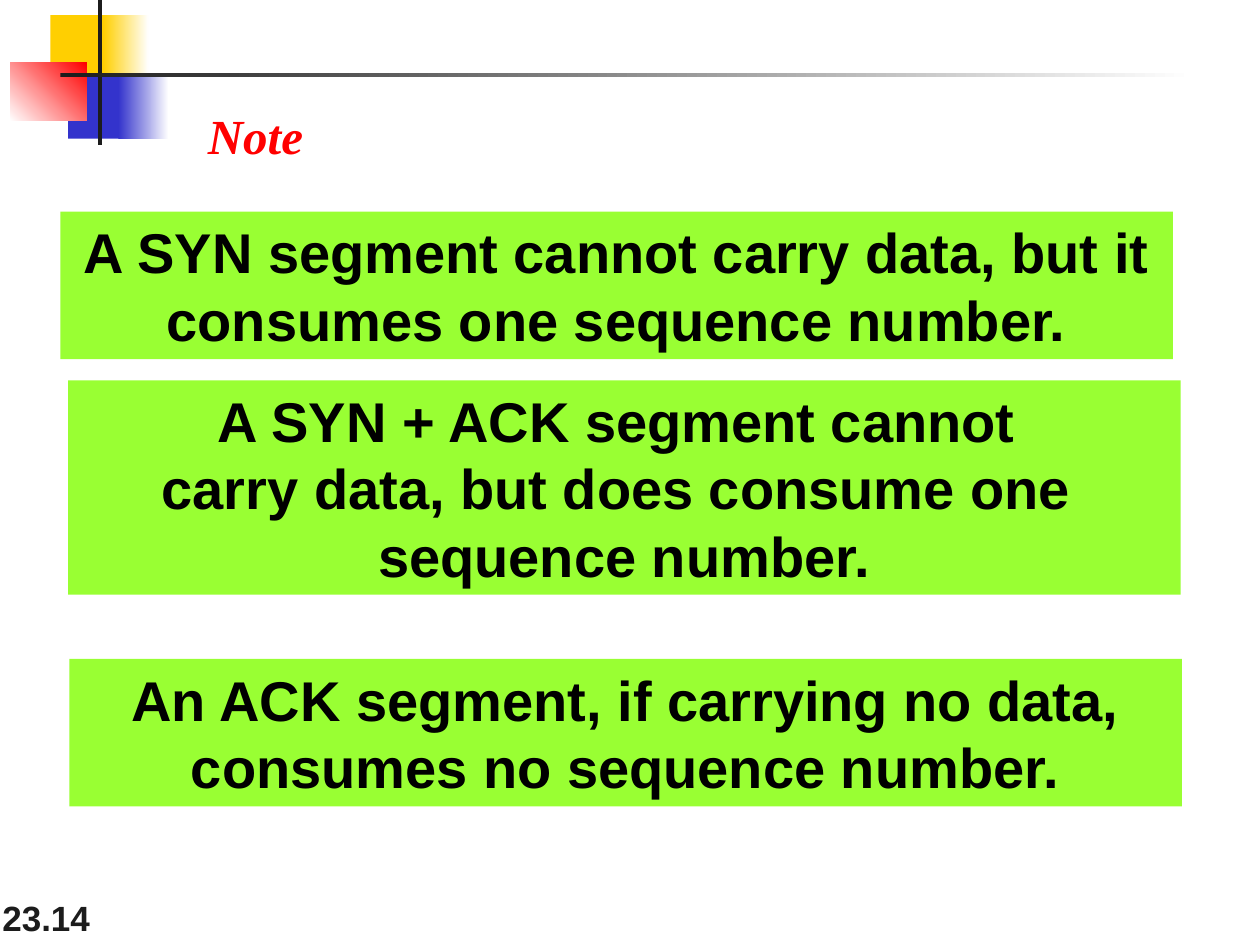
from pptx import Presentation
from pptx.dml.color import RGBColor
from pptx.enum.shapes import MSO_SHAPE as Shape
from pptx.enum.text import MSO_ANCHOR as Anchor, MSO_AUTO_SIZE as AutoSize, PP_ALIGN as Align
from pptx.util import Inches, Pt

YELLOW, BLUE, RED = "FFCF01", "3333CC", "FF0000"
GREEN, DARK, BLACK, WHITE = "99FF33", "1C1C1C", "000000", "FFFFFF"
NOTE_WIDTH = 8.83

# Left, top, width, height, colours (two make a gradient), gradient angle
ORNAMENT = [
    (0.4, 0.12, 0.48, 0.52, [YELLOW], 0),
    (0.82, 0.12, 0.36, 0.52, [YELLOW, WHITE], 0),
    (0.54, 0.58, 0.46, 0.52, [BLUE], 0),
    (0.94, 0.58, 0.4, 0.52, [BLUE, WHITE], 0),
    (0.08, 0.5, 0.61, 0.46, [WHITE, RED], 45),
    (0.78, 0, 0.03, 1.15, [DARK], 0),
    (0.48, 0.58, 9, 0.03, [DARK, WHITE], 0),
]

# Left, top, height, lines
NOTES = [
    (0.48, 1.68, 1.17,
     ["A SYN segment cannot carry data, but it consumes one sequence number."]),
    (0.54, 3.02, 1.7,
     ["A SYN + ACK segment cannot ", "carry data, but does consume one ",
      "sequence number."]),
    (0.55, 5.23, 1.17,
     ["An ACK segment, if carrying no data, consumes no sequence number."]),
]


def colour(code):
    return RGBColor.from_string(code)


def add_block(page, left, top, width, height, colours, angle=0):
    """Add a borderless rectangle with a plain or two-colour fill."""
    block = page.shapes.add_shape(
        Shape.RECTANGLE, *map(Inches, (left, top, width, height)))
    block.shadow.inherit = False
    block.line.fill.background()
    if len(colours) == 1:
        block.fill.solid()
        block.fill.fore_color.rgb = colour(colours[0])
    else:
        block.fill.gradient()
        block.fill.gradient_angle = angle
        for stop, code, position in zip(block.fill.gradient_stops, colours, (0, 1)):
            stop.color.rgb = colour(code)
            stop.position = position
    return block


def write(box, lines, size, code, font="Arial", italic=False,
          align=Align.LEFT, anchor=Anchor.TOP):
    """Fill a box with one bold paragraph, broken into the given lines."""
    frame = box.text_frame
    frame.word_wrap = True
    frame.auto_size = AutoSize.NONE
    frame.vertical_anchor = anchor
    para = frame.paragraphs[0]
    para.alignment = align
    para.line_spacing = 1.0
    para.space_before = Pt(0)
    for index, line in enumerate(lines):
        if index:
            para.add_line_break()
        span = para.add_run()
        span.text = line
        span.font.name = font
        span.font.size = Pt(size)
        span.font.bold = True
        span.font.italic = italic
        span.font.color.rgb = colour(code)


def add_title(page, text):
    title = page.shapes.title
    title.left, title.top = Inches(1.55), Inches(0.79)
    title.width, title.height = Inches(1.05), Inches(0.57)
    write(title, [text], 28, RED, font="Times New Roman", italic=True)


def add_page_number(page, text):
    box = page.shapes.add_textbox(*map(Inches, (-0.08, 7, 2.08, 0.5)))
    write(box, [text], 20, DARK, anchor=Anchor.BOTTOM)


def main():
    deck = Presentation()
    deck.slide_width, deck.slide_height = Inches(10), Inches(7.5)
    page = deck.slides.add_slide(deck.slide_layouts[5])

    # Page number and corner ornament
    add_page_number(page, "23.14")
    for block in ORNAMENT:
        add_block(page, *block)

    # Heading and notes
    add_title(page, "Note")
    for left, top, height, lines in NOTES:
        note = add_block(page, left, top, NOTE_WIDTH, height, [GREEN])
        write(note, lines, 32, BLACK, align=Align.CENTER)

    deck.save("out.pptx")


if __name__ == "__main__":
    main()
